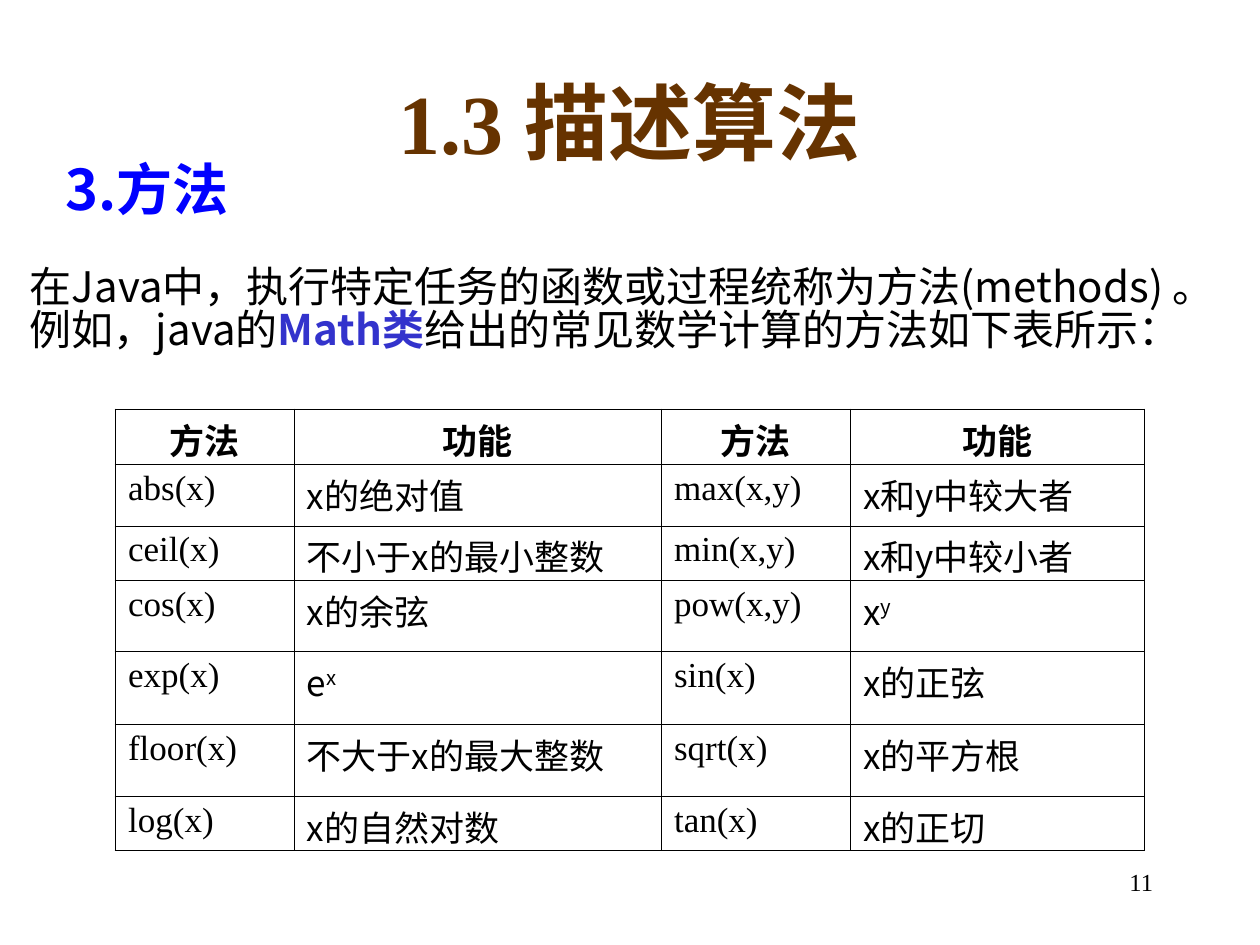
from lxml.etree import SubElement
from pptx import Presentation
from pptx.dml.color import RGBColor
from pptx.enum.text import MSO_ANCHOR, MSO_AUTO_SIZE, PP_ALIGN
from pptx.oxml.ns import qn
from pptx.util import Pt

SERIF = "Times New Roman"
SANS = "Noto Sans CJK SC"
COLS = [102, 210, 108, 168]
ROWS = [31.4, 35.2, 31, 40.8, 41.5, 41.2, 31]
CELLS = [
    ["方法", "功能", "方法", "功能"],
    ["abs(x)", "x的绝对值", "max(x,y)", "x和y中较大者"],
    ["ceil(x)", "不小于x的最小整数", "min(x,y)", "x和y中较小者"],
    ["cos(x)", "x的余弦", "pow(x,y)", "x^y"],
    ["exp(x)", "e^x", "sin(x)", "x的正弦"],
    ["floor(x)", "不大于x的最大整数", "sqrt(x)", "x的平方根"],
    ["log(x)", "x的自然对数", "tan(x)", "x的正切"],
]


def paint(hue):
    return RGBColor.from_string(hue)


def put(para, text, size, face=SANS, hue="000000", bold=False, east=SANS):
    run = para.add_run()
    run.text = text
    font = run.font
    font.size, font.name, font.bold = Pt(size), face, bold
    font.color.rgb = paint(hue)
    SubElement(run._r.get_or_add_rPr(), qn("a:ea"), typeface=east)
    return run


def place(shape, box):
    shape.left, shape.top, shape.width, shape.height = [Pt(n) for n in box]


def head(slide, box):
    shape = slide.shapes.title
    place(shape, box)
    frame = shape.text_frame
    frame.auto_size = MSO_AUTO_SIZE.NONE
    frame.vertical_anchor = MSO_ANCHOR.MIDDLE
    para = frame.paragraphs[0]
    para.alignment = PP_ALIGN.CENTER
    tabs = SubElement(para._p.get_or_add_pPr(), qn("a:tabLst"))
    for step in range(8):
        SubElement(tabs, qn("a:tab"), pos=str(Pt(72 * step)), algn="l")
    put(para, "1.3\t描述算法", 48, SERIF, "663300", True)


def topic(slide, box):
    shape = slide.placeholders[1]
    place(shape, box)
    frame = shape.text_frame
    frame.auto_size = MSO_AUTO_SIZE.NONE
    para = frame.paragraphs[0]
    props = para._p.get_or_add_pPr()
    props.set("marL", str(Pt(27)))
    props.set("indent", str(Pt(-27)))
    SubElement(props, qn("a:buNone"))
    para.space_before = Pt(0)
    para.line_spacing = 0.87
    put(para, "3.方法", 32, hue="0000FF", bold=True)


def intro(slide, box):
    frame = slide.shapes.add_textbox(*[Pt(n) for n in box]).text_frame
    frame.word_wrap = False
    frame.auto_size = MSO_AUTO_SIZE.SHAPE_TO_FIT_TEXT
    first, second = frame.paragraphs[0], frame.add_paragraph()
    first.line_spacing = second.line_spacing = 0.85
    put(first, "在Java中，执行特定任务的函数或过程统称为方法(methods) ", 24)
    put(first, "。", 24, "Arial", east="Arial")
    put(second, "例如，java的", 24)
    put(second, "Math类", 24, hue="3333CC", bold=True)
    put(second, "给出的常见数学计算的方法如下表所示：", 24)


def edge(cell, widths):
    props = cell._tc.get_or_add_tcPr()
    for spot, (side, width) in enumerate(widths.items()):
        line = props.makeelement(qn("a:ln" + side), {"w": str(Pt(width))})
        fill = SubElement(line, qn("a:solidFill"))
        SubElement(fill, qn("a:srgbClr"), val="000000")
        props.insert(spot, line)


def fill(cell, text, row, col):
    cell.fill.background()
    cell.margin_bottom = 0
    para = cell.text_frame.paragraphs[0]
    para.line_spacing = 0.95
    para.alignment = PP_ALIGN.JUSTIFY if row else PP_ALIGN.CENTER
    face = SANS if row and col % 2 else SERIF
    base, _, power = text.partition("^")
    put(para, base, 20, face, bold=row == 0)
    if power:
        run = put(para, power, 20, face)
        run._r.get_or_add_rPr().set("baseline", "30000")
    outer = {"L": col == 0, "R": col == len(COLS) - 1,
             "T": row == 0, "B": row == len(ROWS) - 1}
    edge(cell, {side: 1.08 if out else 0.45 for side, out in outer.items()})


def grid(slide, box):
    size = len(ROWS), len(COLS)
    table = slide.shapes.add_table(*size, *[Pt(n) for n in box]).table
    table.first_row = table.horz_banding = False
    for col, width in zip(table.columns, COLS):
        col.width = Pt(width)
    for row, height in zip(table.rows, ROWS):
        row.height = Pt(height)
    for row, texts in enumerate(CELLS):
        for col, text in enumerate(texts):
            fill(table.cell(row, col), text, row, col)


def folio(slide, box):
    frame = slide.shapes.add_textbox(*[Pt(n) for n in box]).text_frame
    frame.word_wrap = True
    para = frame.paragraphs[0]
    para.alignment = PP_ALIGN.RIGHT
    put(para, "11", 14, SERIF)


def main():
    deck = Presentation()
    deck.slide_width, deck.slide_height = Pt(720), Pt(540)
    slide = deck.slides.add_slide(deck.slide_layouts[1])
    head(slide, (54, 24, 612, 90))
    topic(slide, (30, 90, 612, 324))
    intro(slide, (10, 150, 733, 65))
    grid(slide, (66, 234, sum(COLS), sum(ROWS)))
    folio(slide, (516, 492, 150, 36))
    deck.save("out.pptx")


if __name__ == "__main__":
    main()
